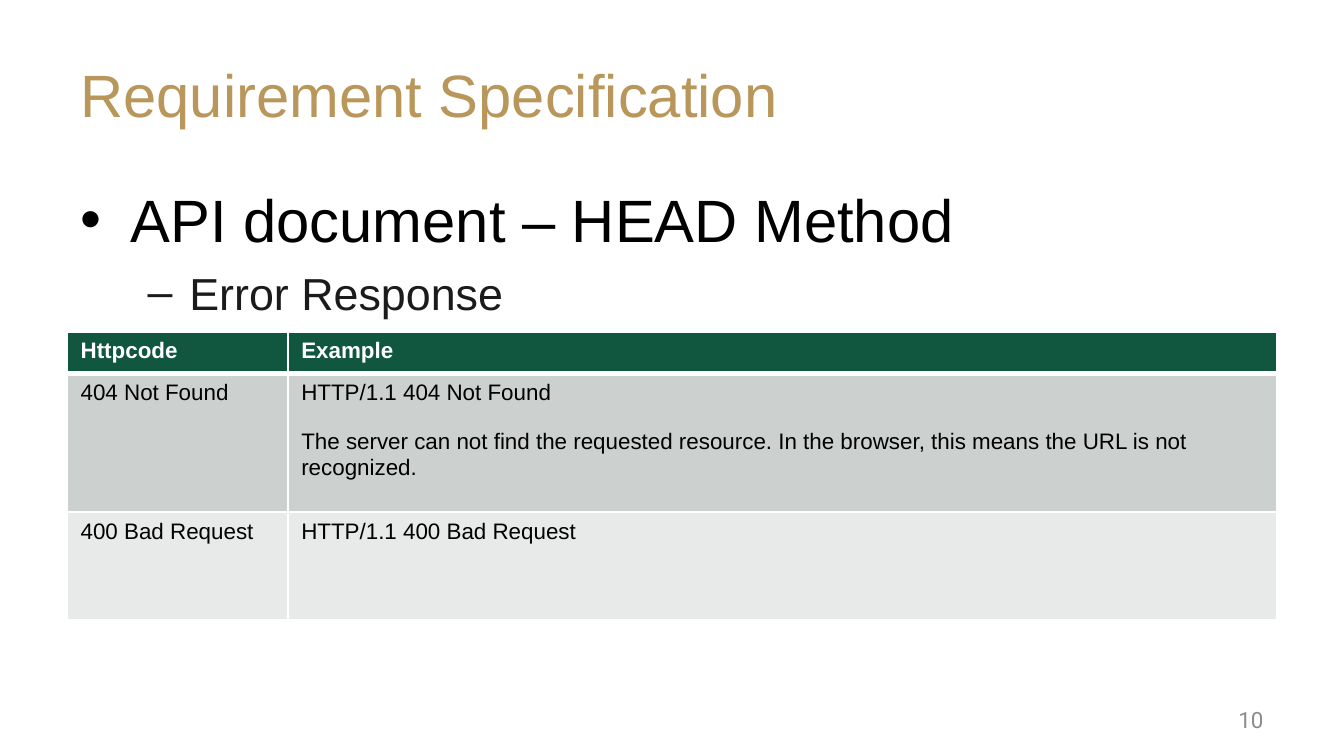
from pptx import Presentation
from pptx.dml.color import RGBColor
from pptx.enum.text import MSO_ANCHOR, PP_ALIGN
from pptx.oxml.ns import qn
from pptx.util import Cm, Pt
from lxml.etree import SubElement

HUES = {"gold": "B9975B", "black": "000000", "ink": "1B1B1B", "gray": "8C8C8C",
        "white": "FFFFFF", "green": "115740", "dark": "CCD1CF", "light": "E7EAE8"}
TITLE = "Requirement Specification"
PAGE = "10"
POINTS = [
    ("API document – HEAD Method",
     dict(size=32, bullet="•", left=0.95, hang=0.95, before=3)),
    ("Error Response",
     dict(size=24, hue="ink", bullet="–", left=2.06, hang=0.79, before=6, level=1)),
]
ROWS = [
    ("green", 0.79, [["Httpcode"], ["Example"]]),
    ("dark", 2.62, [["404 Not Found"], [
        "HTTP/1.1 404 Not Found",
        "The server can not find the requested resource. In the browser, "
        "this means the URL is not recognized."]]),
    ("light", 2.03, [["400 Bad Request"], ["HTTP/1.1 400 Bad Request"]]),
]
COLS = [4.17, 18.69]
LEFT, WIDTH = 1.27, sum(COLS)


def color(name):
    return RGBColor.from_string(HUES[name])


def write(frame, text, size=12, hue="black", font="Arial", bold=False, align=None,
          before=0, bullet=None, left=0, hang=0, level=0):
    para = frame.paragraphs[0]
    if para.runs:
        para = frame.add_paragraph()
    para.level = level
    para.alignment = align
    para.space_before = Pt(before)
    run = para.add_run()
    run.text = text
    run.font.size = Pt(size)
    run.font.name = font
    run.font.bold = bold
    run.font.color.rgb = color(hue)
    if bullet:
        props = para._p.get_or_add_pPr()
        props.set("marL", str(Cm(left)))
        props.set("indent", str(-Cm(hang)))
        SubElement(props, qn("a:buFont"), typeface="Arial")
        SubElement(props, qn("a:buChar"), char=bullet)


def frame(left, top, width, height, anchor=MSO_ANCHOR.MIDDLE):
    box = slide.shapes.add_textbox(Cm(left), Cm(top), Cm(width), Cm(height))
    box.text_frame.word_wrap = True
    box.text_frame.vertical_anchor = anchor
    return box.text_frame


def edge(cell, side, width):
    line = SubElement(cell._tc.get_or_add_tcPr(), qn("a:ln" + side), w=str(Pt(width)))
    fill = SubElement(line, qn("a:solidFill"))
    SubElement(fill, qn("a:srgbClr"), val=HUES["white"])


deck = Presentation()
deck.slide_width, deck.slide_height = Cm(25.4), Cm(14.29)
slide = deck.slides.add_slide(deck.slide_layouts[6])

write(frame(LEFT, 0.58, WIDTH, 2.39), TITLE, size=32, hue="gold")
write(frame(18.21, 13.23, 5.92, 0.76), PAGE, hue="gray", font="Roboto",
      align=PP_ALIGN.RIGHT)
body = frame(LEFT, 3.33, WIDTH, 9.42, MSO_ANCHOR.TOP)
for text, style in POINTS:
    write(body, text, **style)

tall = sum(height for _, height, _ in ROWS)
table = slide.shapes.add_table(len(ROWS), len(COLS), Cm(LEFT), Cm(6.27),
                               Cm(WIDTH), Cm(tall)).table
for col, width in zip(table.columns, COLS):
    col.width = Cm(width)
for i, (hue, height, cells) in enumerate(ROWS):
    table.rows[i].height = Cm(height)
    for j, lines in enumerate(cells):
        cell = table.cell(i, j)
        for side in "LRTB":
            thick = (i, side) in [(0, "B"), (1, "T")]
            edge(cell, side, 3 if thick else 1)
        cell.fill.solid()
        cell.fill.fore_color.rgb = color(hue)
        for k, line in enumerate(lines):
            write(cell.text_frame, line, bold=i == 0, before=13 * k,
                  hue="black" if i else "white")

deck.save("out.pptx")
